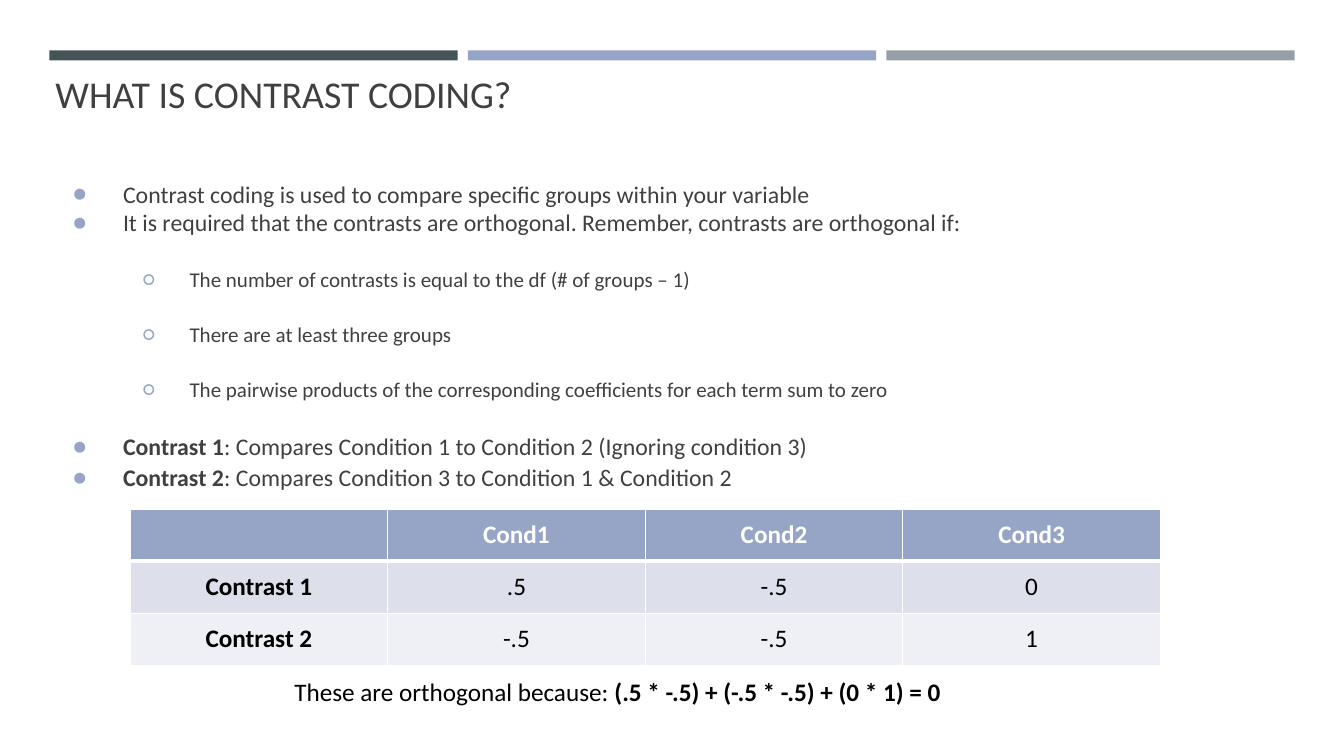
from lxml import etree
from pptx import Presentation
from pptx import util as u
from pptx.dml.color import RGBColor
from pptx.enum import shapes, text
from pptx.oxml import ns

PX = 9144  # 100 px to the inch
FONT = "Calibri"
DARK, BLUE, GREY = "465359", "96A4C6", "969FA7"
BODY_INK, BLACK, WHITE = "404040", "000000", "FFFFFF"
CENTER = text.PP_ALIGN.CENTER

# level, space before, line spacing, runs of (text, bold)
BULLETS = [
    (0, 0, 1, [("Contrast coding is used to compare specific groups within your variable", False)]),
    (0, 0, 1, [("It is required that the contrasts are orthogonal. "
                "Remember, contrasts are orthogonal if:", False)]),
    (1, 21.3, 1, [("The number of contrasts is equal to the df (# of groups – 1)", False)]),
    (1, 21.3, 1, [("There are at least three groups", False)]),
    (1, 21.3, 1, [("The pairwise products of the corresponding coefficients "
                   "for each term sum to zero", False)]),
    (0, 19.5, 1.1, [("Contrast 1", True),
                    (": Compares Condition 1 to Condition 2 (Ignoring condition 3)", False)]),
    (0, 0, 1.1, [("Contrast 2", True),
                 (": Compares Condition 3 to Condition 1 & Condition 2", False)]),
]
# size, left margin, hanging indent, symbol
LEVELS = [(17, 67, -50, "●"), (15, 133, -46, "○")]
CODES = [
    ["", "Cond1", "Cond2", "Cond3"],
    ["Contrast 1", ".5", "-.5", "0"],
    ["Contrast 2", "-.5", "-.5", "1"],
]
ROW_FILLS = [BLUE, "DDE0EA", "EFF0F5"]


def color(value):
    return RGBColor.from_string(value)


def px(*lengths):
    return [length * PX for length in lengths]


def add_run(paragraph, words, size, ink, bold=False):
    run = paragraph.add_run()
    run.text = words
    font = run.font
    font.name, font.size, font.bold = FONT, u.Pt(size), bold
    font.color.rgb = color(ink)


def set_frame(shape, box, inset):
    """Place a text shape and give it a wrapped, top-anchored frame."""
    shape.left, shape.top, shape.width, shape.height = px(*box)
    frame = shape.text_frame
    frame.word_wrap = True
    frame.auto_size = text.MSO_AUTO_SIZE.NONE
    frame.vertical_anchor = text.MSO_ANCHOR.TOP
    frame.margin_left = frame.margin_right = inset * PX
    frame.margin_top = frame.margin_bottom = inset * PX
    return frame


def set_bullet(paragraph, margin, indent, symbol):
    properties = paragraph._p.get_or_add_pPr()
    properties.set("marL", str(margin * PX))
    properties.set("indent", str(indent * PX))
    bullet_color = etree.SubElement(properties, ns.qn("a:buClr"))
    etree.SubElement(bullet_color, ns.qn("a:srgbClr"), val=BLUE)
    etree.SubElement(properties, ns.qn("a:buFont"), typeface=FONT)
    etree.SubElement(properties, ns.qn("a:buChar"), char=symbol)


def set_borders(cell, **points):
    """Draw white cell edges, each named by its side: L, R, T or B."""
    properties = cell._tc.get_or_add_tcPr()
    for side, width in points.items():
        line = etree.SubElement(properties, ns.qn(f"a:ln{side}"), w=str(u.Pt(width)))
        fill = etree.SubElement(line, ns.qn("a:solidFill"))
        etree.SubElement(fill, ns.qn("a:srgbClr"), val=WHITE)


def add_bars(slide, box, gap):
    left, top, width, height = box
    fills = [DARK, BLUE, GREY]
    bar_width = (width - gap * (len(fills) - 1)) // len(fills)
    for index, fill in enumerate(fills):
        bar_left = left + index * (bar_width + gap)
        bar = slide.shapes.add_shape(shapes.MSO_SHAPE.RECTANGLE,
                                     *px(bar_left, top, bar_width, height))
        bar.shadow.inherit = False
        bar.fill.solid()
        bar.fill.fore_color.rgb = color(fill)
        bar.line.fill.background()


def fill_title(slide, box):
    paragraph = set_frame(slide.shapes.title, box, 10).paragraphs[0]
    paragraph.alignment = text.PP_ALIGN.LEFT
    paragraph.line_spacing = 0.9
    add_run(paragraph, "WHAT IS CONTRAST CODING?", 27, BODY_INK)


def fill_bullets(slide, box):
    frame = set_frame(slide.placeholders[1], box, 10)
    for index, (level, before, spacing, runs) in enumerate(BULLETS):
        paragraph = frame.add_paragraph() if index else frame.paragraphs[0]
        size, *bullet = LEVELS[level]
        paragraph.level = level
        paragraph.space_before = u.Pt(before)
        paragraph.line_spacing = spacing
        set_bullet(paragraph, *bullet)
        for words, bold in runs:
            add_run(paragraph, words, size, BODY_INK, bold)


def add_code_table(slide, box):
    table = slide.shapes.add_table(len(CODES), len(CODES[0]), *px(*box)).table
    for row, values in enumerate(CODES):
        for column, value in enumerate(values):
            cell = table.cell(row, column)
            set_borders(cell, L=1, R=1, T=3 if row == 1 else 1, B=3 if row == 0 else 1)
            cell.fill.solid()
            cell.fill.fore_color.rgb = color(ROW_FILLS[row])
            cell.vertical_anchor = text.MSO_ANCHOR.MIDDLE
            paragraph = cell.text_frame.paragraphs[0]
            paragraph.alignment = CENTER
            if value:
                add_run(paragraph, value, 18, BLACK if row else WHITE,
                        row == 0 or column == 0)


def add_conclusion(slide, box):
    frame = set_frame(slide.shapes.add_textbox(*px(*box)), box, 5)
    paragraph = frame.paragraphs[0]
    paragraph.alignment = CENTER
    add_run(paragraph, "These are orthogonal because: ", 18, BLACK)
    add_run(paragraph, "(.5 * -.5) + (-.5 * -.5) + (0 * 1) = 0", 18, BLACK, True)


def main():
    presentation = Presentation()
    presentation.slide_width, presentation.slide_height = px(1333, 750)
    slide = presentation.slides.add_slide(presentation.slide_layouts[1])
    add_bars(slide, (49, 50, 1235, 10), 10)
    fill_title(slide, (45, 65, 1242, 84))
    fill_bullets(slide, (45, 168, 1242, 498))
    add_code_table(slide, (129, 505, 1022, 155))
    add_conclusion(slide, (170, 666, 885, 40))
    presentation.save("out.pptx")


if __name__ == "__main__":
    main()
